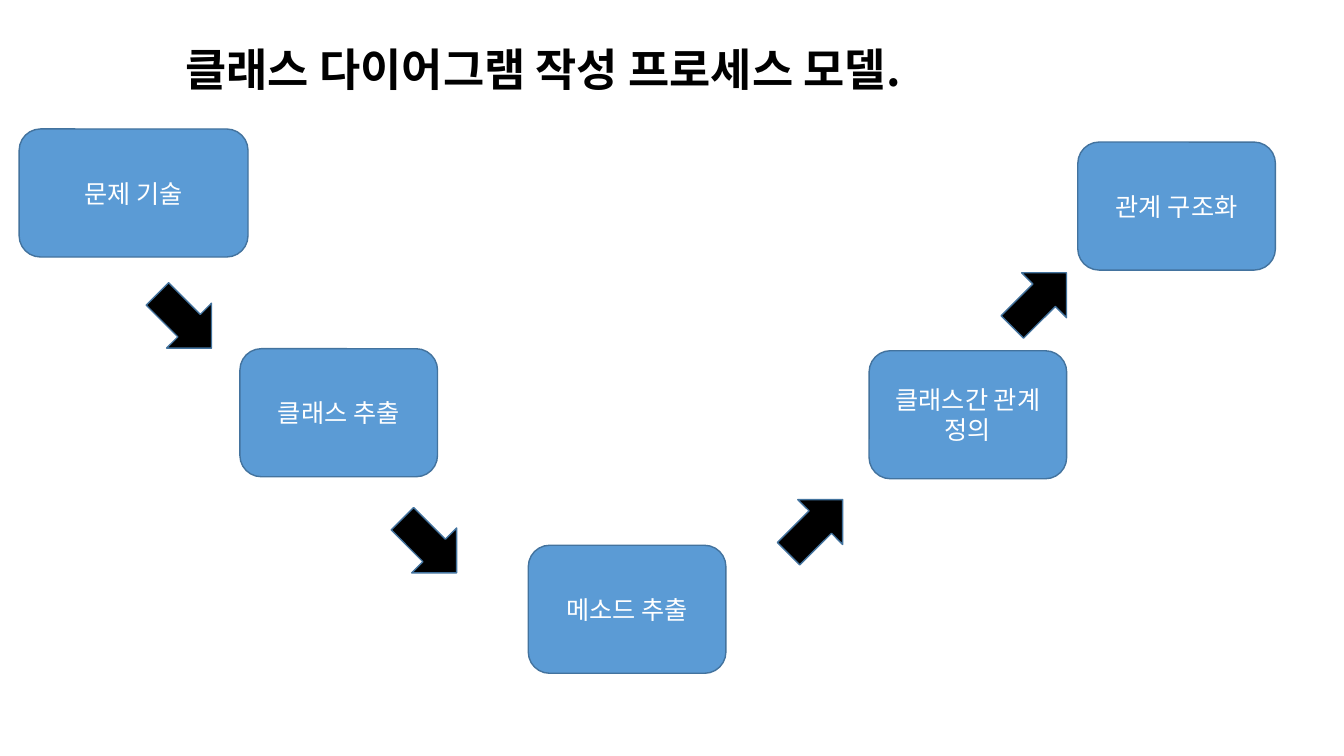
from dataclasses import dataclass
from typing import NamedTuple

from lxml import etree
from pptx import Presentation
from pptx import util as u
from pptx.dml import color
from pptx.enum import shapes, text
from pptx.oxml import ns


@dataclass(frozen=True)
class Theme:
    font: str = "Noto Sans CJK KR"
    step_fill: str = "5B9BD5"
    outline: str = "43739E"
    step_text: str = "FFFFFF"
    dark: str = "000000"
    title_size: int = 32
    step_size: int = 18
    outline_width: int = 1


class Step(NamedTuple):
    label: str
    left: float
    top: float
    width: float = 1.96
    height: float = 1.27


class Arrow(NamedTuple):
    left: float
    top: float
    rotation: int
    width: float = 0.76
    height: float = 0.63


THEME = Theme()
DOWN, UP = 45, 315
TITLE = "클래스 다이어그램 작성 프로세스 모델."

STEPS = [
    Step("문제 기술", 0.19, 1.28, width=2.27),
    Step("클래스 추출", 2.38, 3.46),
    Step("메소드 추출", 5.24, 5.41),
    Step("클래스간 관계 정의", 8.62, 3.48),
    Step("관계 구조화", 10.69, 1.41),
]
ARROWS = [
    Arrow(1.45, 2.87, DOWN),
    Arrow(3.88, 5.1, DOWN),
    Arrow(7.71, 4.91, UP),
    Arrow(9.93, 2.66, UP),
]


def apply(target, formats: dict) -> None:
    for name, value in formats.items():
        setattr(target, name, value)


def write(frame, wording: str, align, anchor, size: int, ink: str, bold: bool) -> None:
    """Fill a text frame with one formatted paragraph."""
    apply(frame, {
        "word_wrap": True,
        "auto_size": text.MSO_AUTO_SIZE.NONE,
        "vertical_anchor": anchor,
        "margin_left": u.Inches(0.1), "margin_right": u.Inches(0.1),
        "margin_top": u.Inches(0.05), "margin_bottom": u.Inches(0.05),
    })
    paragraph = frame.paragraphs[0]
    paragraph.alignment = align
    run = paragraph.add_run()
    run.text = wording
    apply(run.font, {"name": THEME.font, "size": u.Pt(size), "bold": bold})
    run.font.color.rgb = color.RGBColor.from_string(ink)
    # Hangul takes its typeface from the East Asian font
    properties = run.font._element
    etree.SubElement(properties, ns.qn("a:ea")).set("typeface", THEME.font)


def add_block(slide, preset, item: Step | Arrow, fill: str):
    block = slide.shapes.add_shape(
        preset, *map(u.Inches, (item.left, item.top, item.width, item.height)))
    block.shadow.inherit = False
    block.fill.solid()
    block.fill.fore_color.rgb = color.RGBColor.from_string(fill)
    block.line.color.rgb = color.RGBColor.from_string(THEME.outline)
    block.line.width = u.Pt(THEME.outline_width)
    return block


def add_step(slide, step: Step) -> None:
    block = add_block(slide, shapes.MSO_SHAPE.ROUNDED_RECTANGLE, step, THEME.step_fill)
    write(block.text_frame, step.label, text.PP_ALIGN.CENTER,
          text.MSO_ANCHOR.MIDDLE, THEME.step_size, THEME.step_text, False)


def add_arrow(slide, arrow: Arrow) -> None:
    block = add_block(slide, shapes.MSO_SHAPE.RIGHT_ARROW, arrow, THEME.dark)
    block.rotation = arrow.rotation


deck = Presentation()
apply(deck, {"slide_width": u.Inches(13.33), "slide_height": u.Inches(7.5)})
process = deck.slides.add_slide(deck.slide_layouts.get_by_name("Title Only"))

# Title
heading = process.shapes.title
apply(heading, {"left": u.Inches(1.74), "top": u.Inches(0.36),
                "width": u.Inches(8.94), "height": u.Inches(0.64)})
write(heading.text_frame, TITLE, text.PP_ALIGN.LEFT, text.MSO_ANCHOR.TOP,
      THEME.title_size, THEME.dark, True)

# Process steps and the arrows between them
for step in STEPS:
    add_step(process, step)
for arrow in ARROWS:
    add_arrow(process, arrow)

deck.save("out.pptx")
